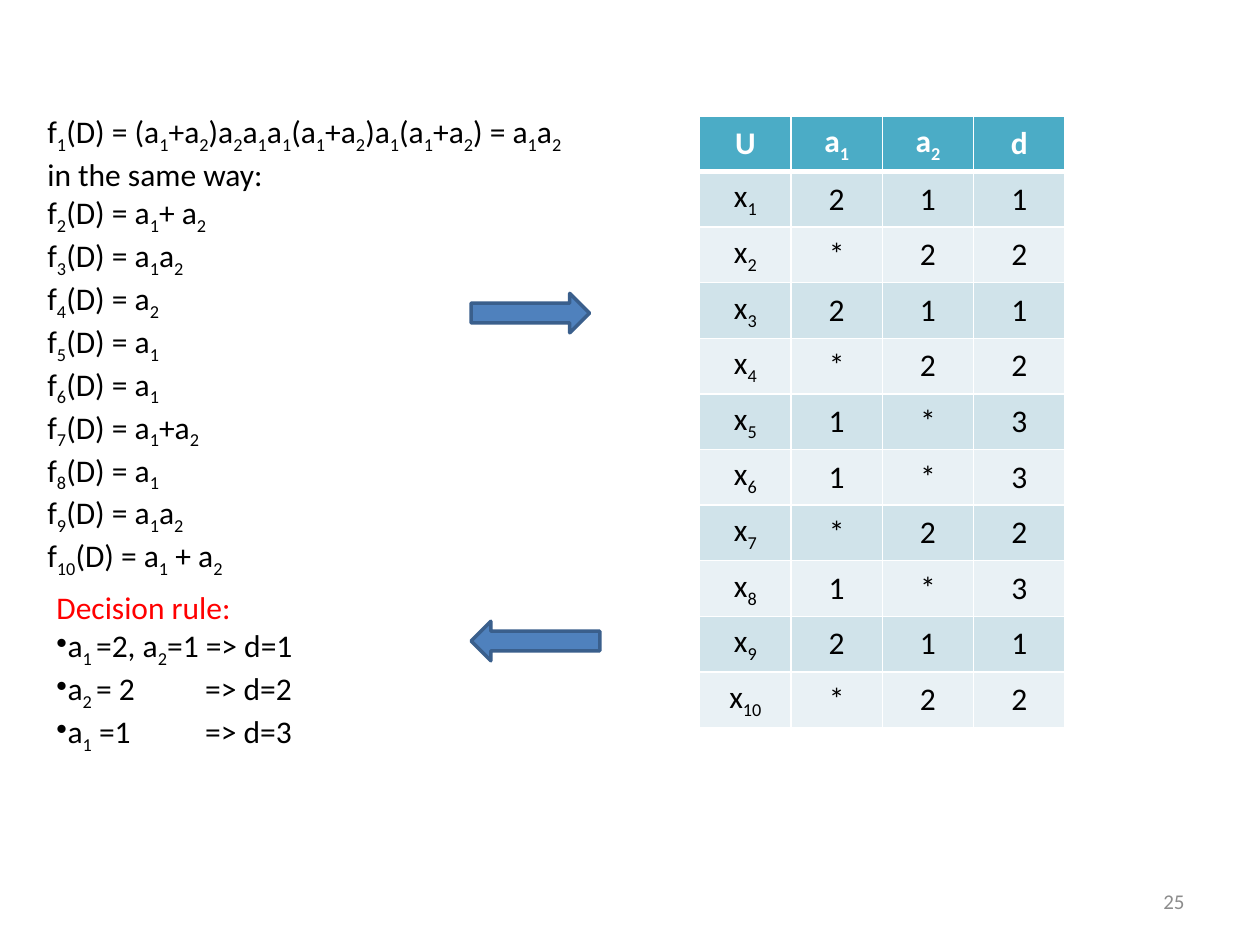
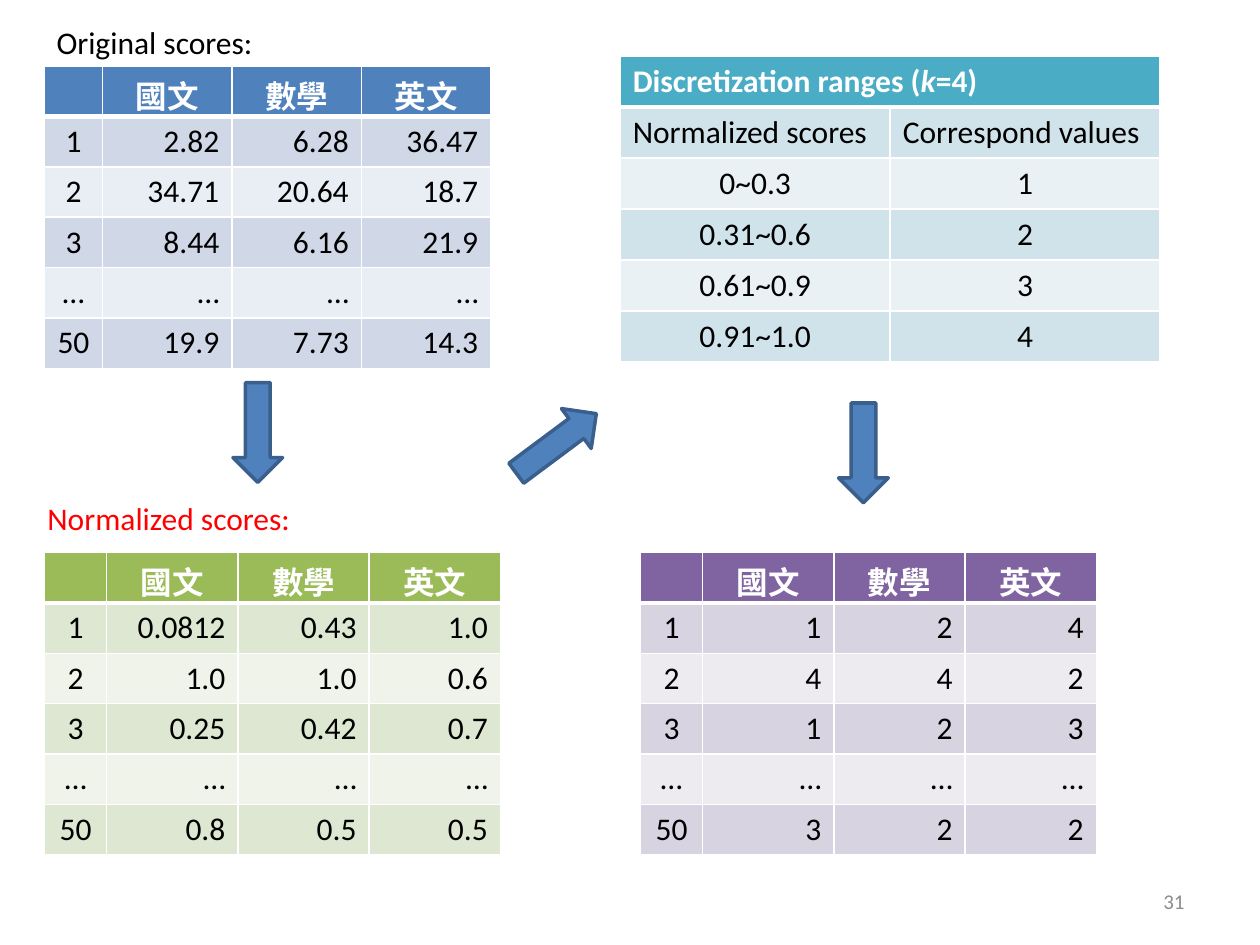
from lxml import etree
from pptx import Presentation
from pptx.dml.color import RGBColor
from pptx.enum.shapes import MSO_SHAPE
from pptx.enum.text import MSO_ANCHOR, PP_ALIGN
from pptx.oxml.ns import qn
from pptx.util import Pt

LEFT, CENTER, RIGHT = PP_ALIGN.LEFT, PP_ALIGN.CENTER, PP_ALIGN.RIGHT
TOP, MIDDLE = MSO_ANCHOR.TOP, MSO_ANCHOR.MIDDLE
RIGHT_ARROW, LEFT_ARROW = MSO_SHAPE.RIGHT_ARROW, MSO_SHAPE.LEFT_ARROW

FONT = "Calibri"
COLORS = {
    "text": "000000",
    "highlight": "FF0000",
    "white": "FFFFFF",
    "page_number": "8C8C8C",
    "arrow": "4F81BD",
    "arrow_line": "3A5F8C",
}
# Header fill, odd body rows, even body rows
TABLE_THEMES = {
    "blue": ("4F81BD", "D0D8E8", "E9EDF4"),
    "green": ("9BBB59", "DEE7D1", "EFF3EA"),
    "purple": ("8064A2", "D8D3E0", "EDEAF0"),
    "aqua": ("4BACC6", "D0E3EA", "E9F1F5"),
}
PAGE_NUMBER_BOX = (516.2, 500.4, 167.8, 28.8)
SUBJECTS = ["", "國文", "數學", "英文"]

FORMULAS = [
    "f[1](D) = (a[1]+a[2])a[2]a[1]a[1](a[1]+a[2])a[1](a[1]+a[2]) = a[1]a[2]",
    "in the same way:",
    "f[2](D) = a[1]+ a[2]",
    "f[3](D) = a[1]a[2]",
    "f[4](D) = a[2]",
    "f[5](D) = a[1]",
    "f[6](D) = a[1]",
    "f[7](D) = a[1]+a[2]",
    "f[8](D) = a[1]",
    "f[9](D) = a[1]a[2]",
    "f[10](D) = a[1] + a[2]",
]
DECISION_RULES = [
    "a[1 ]=2, a[2]=1 => d=1",
    "a[2 ]= 2\t=> d=2",
    "a[1] =1\t=> d=3",
]
# Values of a1, a2 and d for the objects x1 to x10
REDUCED_VALUES = ["211", "*22", "211", "*22", "1*3",
                  "1*3", "*22", "1*3", "211", "*22"]
ORIGINAL_SCORES = [
    ["1", "2.82", "6.28", "36.47"],
    ["2", "34.71", "20.64", "18.7"],
    ["3", "8.44", "6.16", "21.9"],
    ["…", "…", "…", "…"],
    ["50", "19.9", "7.73", "14.3"],
]
NORMALIZED_SCORES = [
    ["1", "0.0812", "0.43", "1.0"],
    ["2", "1.0", "1.0", "0.6"],
    ["3", "0.25", "0.42", "0.7"],
    ["…", "…", "…", "…"],
    ["50", "0.8", "0.5", "0.5"],
]
DISCRETE_SCORES = [
    ["1", "1", "2", "4"],
    ["2", "4", "4", "2"],
    ["3", "1", "2", "3"],
    ["…", "…", "…", "…"],
    ["50", "3", "2", "2"],
]
RANGES = [
    ["Normalized scores", "Correspond values"],
    ["0~0.3", "1"],
    ["0.31~0.6", "2"],
    ["0.61~0.9", "3"],
    ["0.91~1.0", "4"],
]


def points(box):
    return [Pt(length) for length in box]


def write_text(paragraph, text, color="text", size=18, bold=False,
               align=LEFT, bracketed="subscript"):
    """Write text, giving the parts in square brackets a special format."""
    paragraph.alignment = align
    for index, part in enumerate(text.replace("]", "[").split("[")):
        if not part:
            continue
        run = paragraph.add_run()
        run.text = part
        run.font.name = FONT
        run.font.size = Pt(size)
        run.font.bold = bold
        run.font.color.rgb = RGBColor.from_string(COLORS[color])
        if index % 2 and bracketed == "italic":
            run.font.italic = True
        elif index % 2:
            run.font._element.set("baseline", "-25000")


def add_text(slide, box, lines, anchor=TOP, **text_format):
    """Add a text box with one paragraph a line and return its frame."""
    frame = slide.shapes.add_textbox(*points(box)).text_frame
    frame.word_wrap = True
    frame.vertical_anchor = anchor
    for index, line in enumerate(lines):
        paragraph = frame.add_paragraph() if index else frame.paragraphs[0]
        write_text(paragraph, line, **text_format)
    return frame


def add_bullet(paragraph, tab):
    properties = paragraph._p.get_or_add_pPr()
    properties.set("marL", "0")
    properties.set("indent", "0")
    etree.SubElement(properties, qn("a:buChar"), char="•")
    tabs = etree.SubElement(properties, qn("a:tabLst"))
    etree.SubElement(tabs, qn("a:tab"), pos=str(Pt(tab)), algn="l")


def add_decision_rules(slide, box):
    frame = add_text(slide, box, ["Decision rule:"], color="highlight")
    for rule in DECISION_RULES:
        paragraph = frame.add_paragraph()
        add_bullet(paragraph, tab=85)
        write_text(paragraph, rule)


def add_arrow(slide, box, kind=RIGHT_ARROW, rotation=0):
    arrow = slide.shapes.add_shape(kind, *points(box))
    arrow.rotation = rotation
    arrow.shadow.inherit = False
    arrow.fill.solid()
    arrow.fill.fore_color.rgb = RGBColor.from_string(COLORS["arrow"])
    arrow.line.color.rgb = RGBColor.from_string(COLORS["arrow_line"])
    arrow.line.width = Pt(2)


def set_borders(cell, top, bottom):
    properties = cell._tc.get_or_add_tcPr()
    for side, width in (("L", 1), ("R", 1), ("T", top), ("B", bottom)):
        line = etree.SubElement(properties, qn(f"a:ln{side}"), w=str(Pt(width)))
        fill = etree.SubElement(line, qn("a:solidFill"))
        etree.SubElement(fill, qn("a:srgbClr"), val=COLORS["white"])


def add_banded_table(slide, box, rows, theme, widths, align, anchor=TOP,
                     margin=3.6, header_bottom=3.6):
    """Add a table with a header row; align(row, column) places the text."""
    shape = slide.shapes.add_table(len(rows), len(widths), *points(box))
    table = shape.table
    table.first_row = table.horz_banding = False
    for column, width in zip(table.columns, widths):
        column.width = Pt(width)
    header, odd, even = TABLE_THEMES[theme]
    for row, values in enumerate(rows):
        is_header = row == 0
        fill = header if is_header else odd if row % 2 else even
        for column, value in enumerate(values):
            cell = table.cell(row, column)
            set_borders(cell, top=3 if row == 1 else 1,
                        bottom=3 if is_header else 1)
            cell.fill.solid()
            cell.fill.fore_color.rgb = RGBColor.from_string(fill)
            cell.vertical_anchor = anchor
            cell.margin_top = Pt(margin)
            cell.margin_bottom = Pt(header_bottom if is_header else margin)
            write_text(cell.text_frame.paragraphs[0], value,
                       color="white" if is_header else "text",
                       bold=is_header, align=align(row, column),
                       bracketed="italic" if is_header and "[k]" in value
                       else "subscript")
    return table


def add_reduced_table(slide, box):
    rows = [["U", "a[1]", "a[2]", "d"]]
    rows += [[f"x[{number}]", *values]
             for number, values in enumerate(REDUCED_VALUES, 1)]
    add_banded_table(slide, box, rows, "aqua", [box[2] / 4] * 4,
                     lambda row, column: CENTER, anchor=MIDDLE)


def add_score_table(slide, box, scores, theme, number_width):
    subject_width = (box[2] - number_width) / 3
    add_banded_table(slide, box, [SUBJECTS] + scores, theme,
                     [number_width] + [subject_width] * 3,
                     lambda row, column: RIGHT if row and column else CENTER,
                     margin=3.4, header_bottom=0)


def add_range_table(slide, box):
    rows = [["Discretization ranges ([k]=4)", ""]] + RANGES
    table = add_banded_table(slide, box, rows, "aqua", [box[2] / 2] * 2,
                             lambda row, column: CENTER if row > 1 else LEFT)
    table.cell(0, 0).merge(table.cell(0, 1))


def add_slide(presentation, page_number):
    slide = presentation.slides.add_slide(presentation.slide_layouts[6])
    add_text(slide, PAGE_NUMBER_BOX, [page_number], anchor=MIDDLE,
             color="page_number", size=12, align=RIGHT)
    return slide


def build_decision_slide(presentation):
    slide = add_slide(presentation, "25")
    add_text(slide, (20, 60.5, 363, 247), FORMULAS)
    add_reduced_table(slide, (399.8, 66.2, 208.8, 321.2))
    add_arrow(slide, (269.2, 167.6, 67.7, 22.6))
    add_decision_rules(slide, (25.2, 332.6, 249, 94.3))
    add_arrow(slide, (269.2, 355, 73.6, 22.6), kind=LEFT_ARROW)


def build_discretization_slide(presentation):
    slide = add_slide(presentation, "31")
    add_text(slide, (25.2, 9.4, 193, 28.8), ["Original scores:"])
    add_score_table(slide, (25.5, 37.7, 255, 172.8),
                    ORIGINAL_SCORES, "blue", 33)
    add_text(slide, (20, 281.5, 193, 28.8), ["Normalized scores:"],
             color="highlight")
    for left, scores, theme in ((25.5, NORMALIZED_SCORES, "green"),
                                (366, DISCRETE_SCORES, "purple")):
        add_score_table(slide, (left, 315.7, 260.5, 172.8), scores, theme, 35.5)
    add_range_table(slide, (354.4, 32, 308.6, 175))
    for left, top, rotation in ((118.8, 233, 90), (289.4, 239.2, 323.3),
                                (464.9, 244.6, 90)):
        add_arrow(slide, (left, top, 57, 28.4), rotation=rotation)


def main():
    presentation = Presentation()
    presentation.slide_width, presentation.slide_height = Pt(720), Pt(540)
    build_decision_slide(presentation)
    build_discretization_slide(presentation)
    presentation.save("out.pptx")


if __name__ == "__main__":
    main()
